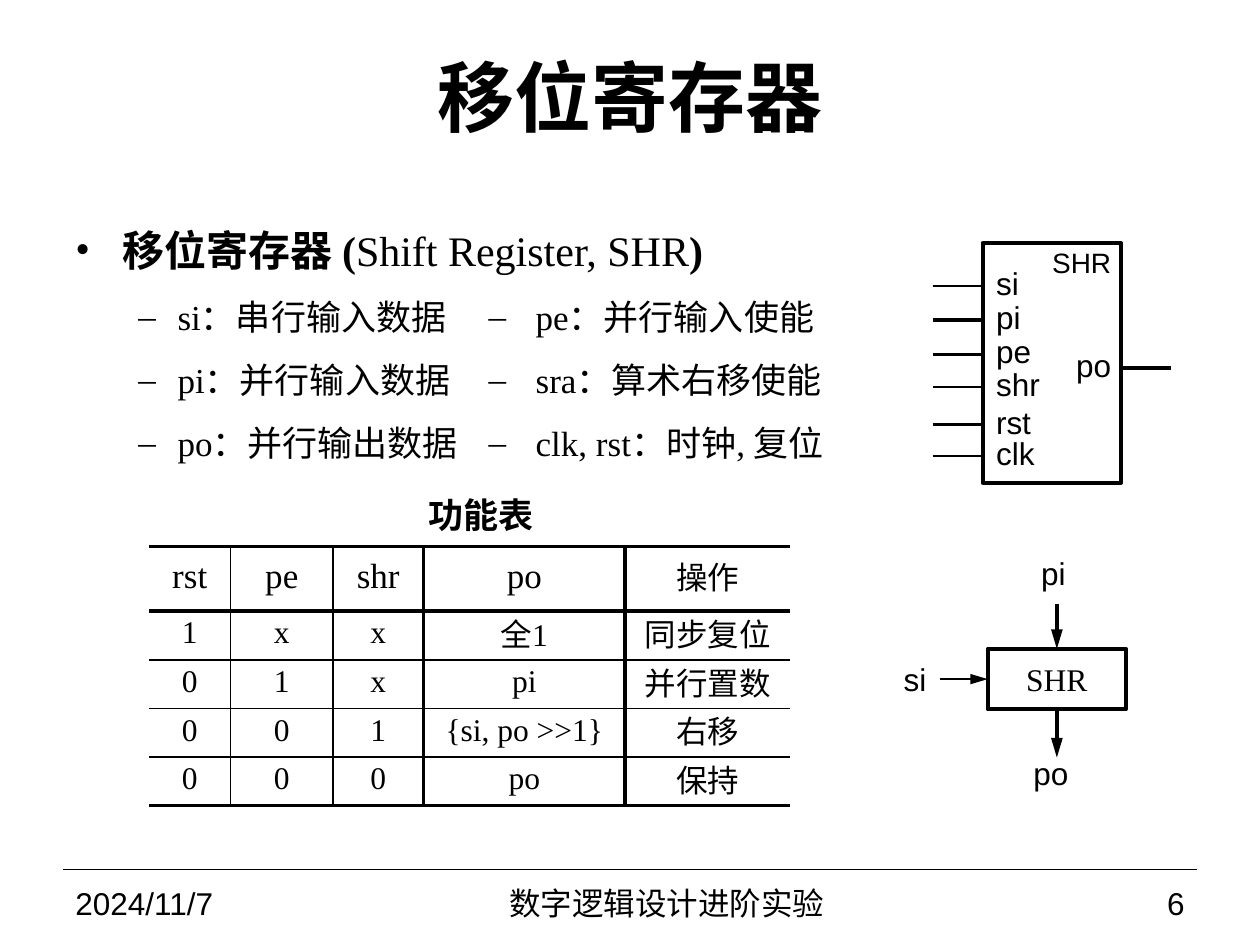
from lxml.etree import SubElement
from pptx import Presentation
from pptx.dml.color import RGBColor
from pptx.enum.shapes import MSO_CONNECTOR, MSO_SHAPE
from pptx.enum.text import MSO_ANCHOR, PP_ALIGN
from pptx.oxml.ns import qn
from pptx.util import Cm, Pt

COLORS = {"ink": "000000", "paper": "FFFFFF"}
SERIF, SANS = "Times New Roman", "Arial"
LEFT, CENTER, RIGHT = PP_ALIGN.LEFT, PP_ALIGN.CENTER, PP_ALIGN.RIGHT
THIN, THICK = 1, 2.25

PINS = [("si", 5.77, 1.5), ("pi", 6.45, 2.25), ("pe", 7.14, 1.5),
        ("shr", 7.8, 1.5), ("rst", 8.56, 1.5), ("clk", 9.19, 1.5)]
INPUTS = ["si：串行输入数据", "pi：并行输入数据", "po：并行输出数据"]
CONTROLS = ["pe：并行输入使能", "sra：算术右移使能", "clk, rst：时钟, 复位"]
FUNCTIONS = [
    ("rst", "pe", "shr", "po", "操作"),
    ("1", "x", "x", "全1", "同步复位"),
    ("0", "1", "x", "pi", "并行置数"),
    ("0", "0", "1", "{si, po >>1}", "右移"),
    ("0", "0", "0", "po", "保持"),
]
COLUMN_WIDTHS = [1.65, 2.06, 1.83, 4.06, 3.33]
ROW_HEIGHTS = [1.3] + [0.98] * 4
COLUMN_RULES = [None, THIN, THIN, THICK, THICK, None]
ROW_RULES = [THICK, THICK, THIN, THIN, THIN, THICK]


def color(key):
    """Return the named colour."""
    return RGBColor.from_string(COLORS[key])


def add_run(paragraph, text, size, font, bold=False):
    """Append one formatted run."""
    run = paragraph.add_run()
    run.text = text
    run.font.size, run.font.name, run.font.bold = Pt(size), font, bold
    run.font.color.rgb = color("ink")


def add_frame(shapes, left, top, width, height, anchor=MSO_ANCHOR.TOP, inset=True):
    """Add a wrapping text box and return its text frame."""
    frame = shapes.add_textbox(Cm(left), Cm(top), Cm(width), Cm(height)).text_frame
    frame.word_wrap = True
    frame.vertical_anchor = anchor
    if not inset:
        frame.margin_left = frame.margin_right = 0
        frame.margin_top = frame.margin_bottom = 0
    return frame


def add_line_text(shapes, text, box, size, font, align, bold=False,
                  anchor=MSO_ANCHOR.MIDDLE, inset=True):
    """Add a text box holding a single line."""
    paragraph = add_frame(shapes, *box, anchor, inset).paragraphs[0]
    paragraph.alignment = align
    add_run(paragraph, text, size, font, bold)


def add_label(shapes, text, left, top, align=CENTER):
    """Add a signal name."""
    add_line_text(shapes, text, (left, top, 1.27, 0.84), 18, SANS, align, inset=False)


def add_bullet(paragraph, mark, margin, hanging, level, runs, size):
    """Fill a paragraph as a bulleted item with 1.5 line spacing."""
    paragraph.level = level
    paragraph.line_spacing = 1.5
    properties = paragraph._p.get_or_add_pPr()
    properties.set("marL", str(Cm(margin)))
    properties.set("indent", str(-Cm(hanging)))
    SubElement(properties, qn("a:buFont"), typeface=SERIF)
    SubElement(properties, qn("a:buChar"), char=mark)
    for text, bold in runs:
        add_run(paragraph, text, size, SERIF, bold)


def add_wire(shapes, start, end, weight, arrow=False):
    """Add a straight line, with an arrowhead at its end if asked."""
    wire = shapes.add_connector(MSO_CONNECTOR.STRAIGHT, *start, *end)
    wire.line.color.rgb = color("ink")
    wire.line.width = Pt(weight)
    if arrow:
        SubElement(wire.line._get_or_add_ln(), qn("a:tailEnd"),
                   type="triangle", w="med", len="lg")
    SubElement(wire._element.spPr, qn("a:effectLst"))
    return wire


def add_block(shapes, left, top, width, height):
    """Add an unfilled block outline."""
    block = shapes.add_shape(MSO_SHAPE.RECTANGLE, Cm(left), Cm(top), Cm(width), Cm(height))
    block.shadow.inherit = False
    block.fill.background()
    block.line.color.rgb = color("ink")
    block.line.width = Pt(THICK)
    return block


def set_border(cell, side, weight):
    """Draw or hide one side of a table cell."""
    properties = cell._tc.get_or_add_tcPr()
    if weight is None:
        SubElement(SubElement(properties, qn(f"a:ln{side}"), w="0"), qn("a:noFill"))
        return
    border = SubElement(properties, qn(f"a:ln{side}"), w=str(Pt(weight)))
    fill = SubElement(border, qn("a:solidFill"))
    SubElement(fill, qn("a:srgbClr"), val=COLORS["ink"])


def add_function_table(shapes):
    """Add the function table with its heading."""
    table = shapes.add_table(len(FUNCTIONS), len(COLUMN_WIDTHS), Cm(3), Cm(11.02),
                             Cm(sum(COLUMN_WIDTHS)), Cm(sum(ROW_HEIGHTS))).table
    table.first_row = table.horz_banding = False
    for column, width in zip(table.columns, COLUMN_WIDTHS):
        column.width = Cm(width)
    for r, (row, height) in enumerate(zip(table.rows, ROW_HEIGHTS)):
        row.height = Cm(height)
        for c, text in enumerate(FUNCTIONS[r]):
            cell = table.cell(r, c)
            cell.margin_left = cell.margin_right = cell.margin_top = cell.margin_bottom = 0
            cell.vertical_anchor = MSO_ANCHOR.MIDDLE
            for side, weight in (("L", COLUMN_RULES[c]), ("R", COLUMN_RULES[c + 1]),
                                 ("T", ROW_RULES[r]), ("B", ROW_RULES[r + 1])):
                set_border(cell, side, weight)
            cell.fill.background()
            paragraph = cell.text_frame.paragraphs[0]
            paragraph.alignment = CENTER
            paragraph.line_spacing = 0.8
            paragraph.space_after = Pt(4)
            add_run(paragraph, text, 20 if r == 0 and c < 4 else 18, SERIF)
    add_line_text(shapes, "功能表", (8.38, 9.83, 2.64, 1.09), 20, SANS, CENTER,
                  bold=True, anchor=MSO_ANCHOR.TOP)


def add_port_symbol(shapes):
    """Add the register symbol with its ports."""
    add_block(shapes, 19.81, 4.9, 2.79, 4.83)
    add_line_text(shapes, "SHR", (20.7, 4.83, 1.95, 0.94), 16, SANS, RIGHT,
                  anchor=MSO_ANCHOR.TOP)
    for name, y, weight in PINS:
        add_wire(shapes, (Cm(18.8), Cm(y)), (Cm(19.81), Cm(y)), weight)
        add_label(shapes, name, 20.08, y - 0.48, LEFT)
    add_wire(shapes, (Cm(22.6), Cm(7.42)), (Cm(23.6), Cm(7.42)), THICK)
    add_label(shapes, "po", 21.13, 6.94, RIGHT)


def add_data_flow(shapes):
    """Add the small data flow diagram around the register."""
    register = add_block(shapes, 19.91, 13.08, 2.79, 1.22)
    paragraph = register.text_frame.paragraphs[0]
    paragraph.alignment = CENTER
    add_run(paragraph, "SHR", 18, SERIF)
    middle_x = register.left + register.width // 2
    middle_y = register.top + register.height // 2
    center = (middle_x, middle_y)
    add_wire(shapes, (middle_x, Cm(12.17)), center, THICK, True).end_connect(register, 0)
    add_wire(shapes, (Cm(18.95), middle_y), center, 1.5, True).end_connect(register, 1)
    add_wire(shapes, center, (middle_x, Cm(15.27)), THICK, True).begin_connect(register, 2)
    for name, left, top in (("pi", 20.6, 11.13), ("po", 20.55, 15.16), ("si", 17.81, 13.26)):
        add_label(shapes, name, left, top)


def add_signal_lists(shapes):
    """Add the term and the two columns of signal descriptions."""
    body = add_frame(shapes, 1.27, 3.89, 21.82, 6)
    add_bullet(body.paragraphs[0], "•", 0.95, 0.95, 0,
               [("移位寄存器 (", True), ("Shift Register, SHR", False), (")", True)], 24)
    for signal in INPUTS:
        add_bullet(body.add_paragraph(), "–", 2.06, 0.79, 1, [(signal, False)], 20)
    controls = add_frame(shapes, 8.33, 5.41, 9.17, 3.94)
    for i, signal in enumerate(CONTROLS):
        paragraph = controls.add_paragraph() if i else controls.paragraphs[0]
        add_bullet(paragraph, "–", 2.22, 0.95, 1, [(signal, False)], 20)


def add_footer(shapes):
    """Add the footer rule and its three texts."""
    add_wire(shapes, (Cm(1.27), Cm(17.53)), (Cm(24.13), Cm(17.53)), 0.75)
    for text, left, width, align in (("2024/11/7", 1.27, 5.92, LEFT),
                                     ("数字逻辑设计进阶实验", 7.19, 12.5, CENTER),
                                     ("6", 19.69, 4.44, RIGHT)):
        add_line_text(shapes, text, (left, 17.73, width, 0.94), 18, SANS, align)


def main():
    """Build and save the slide."""
    deck = Presentation()
    deck.slide_width, deck.slide_height = Cm(25.4), Cm(19.05)
    slide = deck.slides.add_slide(deck.slide_layouts[6])
    slide.background.fill.solid()
    slide.background.fill.fore_color.rgb = color("paper")
    shapes = slide.shapes
    add_footer(shapes)
    add_line_text(shapes, "移位寄存器", (1.27, 0.76, 22.86, 2.36), 44, SERIF, CENTER, bold=True)
    add_signal_lists(shapes)
    add_port_symbol(shapes.add_group_shape().shapes)
    add_data_flow(shapes.add_group_shape().shapes)
    add_function_table(shapes)
    deck.save("out.pptx")


if __name__ == "__main__":
    main()
